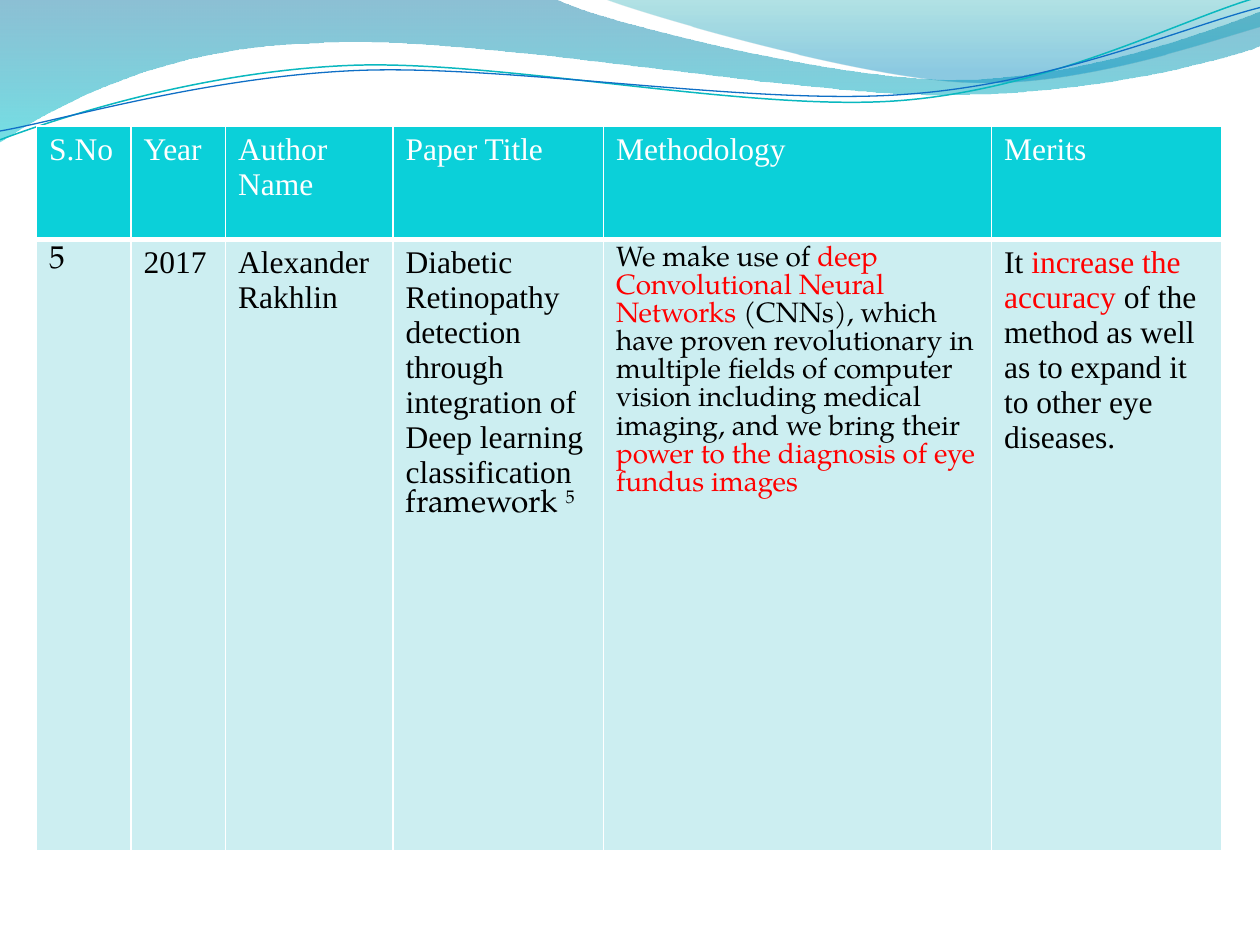
from lxml import etree
from pptx import Presentation
from pptx.dml.color import RGBColor
from pptx.oxml.ns import qn
from pptx.util import Cm, Pt

WHITE = RGBColor(0xFF, 0xFF, 0xFF)
BLACK = RGBColor(0, 0, 0)
RED = RGBColor(0xFF, 0, 0)
HEAD = RGBColor(0x0B, 0xD0, 0xD9)
BODY = RGBColor(0xCC, 0xEE, 0xF1)
NAVY = RGBColor(0x00, 0x74, 0xA1)
AQUA = RGBColor(0x00, 0xC6, 0xCF)
TEAL = RGBColor(0x00, 0xA1, 0xA9)
SKY = RGBColor(0x00, 0x8B, 0xBF)
GREEN = RGBColor(0x0A, 0xB8, 0xBF)
BLUE = RGBColor(0x0F, 0x6F, 0xC6)
TIMES, PAGELLA = "Times New Roman", "TeX Gyre Pagella"
INCH = 2.54

deck = Presentation()
deck.slide_width, deck.slide_height = Cm(10 * INCH), Cm(7.5 * INCH)
slide = deck.slides.add_slide(deck.slide_layouts[6])


def draw_wave(parts, closed):
    """Draw an outline in inches; a part is a point (2) or a Bezier curve (6)."""
    dots = [(Cm(part[i] * INCH), Cm(part[i + 1] * INCH))
            for part in parts for i in range(0, len(part), 2)]
    pen = slide.shapes.build_freeform(*dots[0], scale=1.0)
    pen.add_line_segments(dots[1:], close=closed)
    wave = pen.convert_to_shape()
    wave.shadow.inherit = False
    # Join the three points of each curve into one Bezier segment
    steps = iter(list(wave._element.spPr.iter(qn("a:lnTo"))))
    for part in parts[1:]:
        first = next(steps)
        if len(part) == 6:
            first.tag = qn("a:cubicBezTo")
            for _ in range(2):
                step = next(steps)
                first.append(step[0])
                step.getparent().remove(step)
    return wave


# Gradient waves: outline, then colour, position and opacity of each stop
bands = [
    ([(0, 0), (4.4, -0.01), (4.76, 0.17, 6.64, 0.63, 7.58, 0.63),
      (8.53, 0.63, 9.58, 0.26, 10, 0.09), (10.01, 0.36),
      (9.83, 0.44, 8.7, 0.76, 7.46, 0.75), (6.22, 0.75, 3.82, 0.28, 2.57, 0.34),
      (1.29, 0.36, 0.46, 0.83, -0.01, 1.13), (0, 0)],
     [(NAVY, 0, 45), (AQUA, 1, 55)]),
    ([(4.79, -0.01), (5.09, 0.11, 6.82, 0.62, 7.69, 0.65),
      (8.56, 0.69, 9.61, 0.32, 10, 0.21), (10, 0), (4.79, -0.01)],
     [(TEAL, 0, 30), (SKY, 0.8, 45)]),
]
for parts, stops in bands:
    wave = draw_wave(parts, True)
    wave.line.fill.background()
    wave.fill.gradient()
    wave.fill.gradient_angle = 270
    for stop, (color, place, _) in zip(wave.fill.gradient_stops, stops):
        stop.color.rgb = color
        stop.position = place
    tints = wave._element.spPr.iter(qn("a:srgbClr"))
    for tint, (_, _, alpha) in zip(tints, stops):
        etree.SubElement(tint, qn("a:alpha"), val=str(alpha * 1000))

# Thin wave lines
lines = [
    ([(0, 1.11), (0.48, 0.93, 1.58, 0.57, 2.77, 0.52),
      (3.95, 0.47, 5.93, 0.89, 7.13, 0.8), (8.33, 0.71, 9.38, 0.15, 9.98, -0.02)],
     GREEN, 0.85),
    ([(0, 1.04), (0.47, 0.96, 1.64, 0.61, 2.83, 0.56),
      (4.03, 0.51, 5.97, 0.84, 7.17, 0.75), (8.36, 0.67, 9.41, 0.21, 10, 0.06)],
     BLUE, 0.75),
]
for parts, color, width in lines:
    wave = draw_wave(parts, False)
    wave.fill.background()
    wave.line.color.rgb = color
    wave.line.width = Pt(width)

# Text formats
formats = {
    "head": {"name": TIMES, "size": Pt(18), "color": WHITE},
    "text": {"name": TIMES, "size": Pt(18), "color": BLACK},
    "mark": {"name": TIMES, "size": Pt(18), "color": RED},
    "book": {"name": PAGELLA, "size": Pt(18), "color": BLACK},
    "note": {"name": PAGELLA, "size": Pt(18), "color": BLACK, "raised": 30000},
    "small": {"name": PAGELLA, "size": Pt(16), "color": BLACK},
    "smallmark": {"name": PAGELLA, "size": Pt(16), "color": RED},
}

# Table rows: each cell is a list of paragraphs, each a list of runs
titles = ["S.No", "Year", "Author Name", "Paper Title", "Methodology", "Merits"]
paper = [
    [[("5", "book")]],
    [[("2017", "text")]],
    [[("Alexander Rakhlin", "text")]],
    [[("Diabetic Retinopathy detection through integration of", "text")],
     [("Deep learning classification ", "text"), ("framework ", "book"), ("5", "note")]],
    [[("We make use of ", "small"),
      ("deep Convolutional Neural Networks ", "smallmark"),
      ("(CNNs), which have proven revolutionary in multiple fields of computer "
       "vision including medical imaging, and we bring their ", "small"),
      ("power to the diagnosis of eye fundus images", "smallmark")]],
    [[("It ", "text"), ("increase the accuracy ", "mark"),
      ("of the method as well as to expand it to other eye diseases.", "text")]],
]
rows = [[[[(title, "head")]] for title in titles], paper]
widths = [0.75, 0.75, 1.33, 1.67, 3.08, 1.83]
heights = [0.9, 4.85]

frame = slide.shapes.add_table(len(rows), len(widths), Cm(0.29 * INCH), Cm(INCH),
                               Cm(sum(widths) * INCH), Cm(sum(heights) * INCH))
table = frame.table
table.horz_banding = False
for column, width in zip(table.columns, widths):
    column.width = Cm(width * INCH)
for row, height in zip(table.rows, heights):
    row.height = Cm(height * INCH)

for r, row in enumerate(rows):
    for c, paras in enumerate(row):
        cell = table.cell(r, c)
        cell.fill.solid()
        cell.fill.fore_color.rgb = BODY if r else HEAD
        # White borders, thick between header and body
        edges = {"L": 1, "R": 1, "T": 3 if r else 1, "B": 1 if r else 3}
        for i, (side, width) in enumerate(edges.items()):
            edge = etree.Element(qn("a:ln" + side), w=str(Pt(width)))
            solid = etree.SubElement(edge, qn("a:solidFill"))
            etree.SubElement(solid, qn("a:srgbClr"), val=str(WHITE))
            cell._tc.get_or_add_tcPr().insert(i, edge)
        # Text
        for p, runs in enumerate(paras):
            box = cell.text_frame
            para = box.add_paragraph() if p else box.paragraphs[0]
            for text, kind in runs:
                run = para.add_run()
                run.text = text
                run.font.bold = False
                for key, value in formats[kind].items():
                    if key == "color":
                        run.font.color.rgb = value
                    elif key == "raised":
                        run._r.get_or_add_rPr().set("baseline", str(value))
                    else:
                        setattr(run.font, key, value)

deck.save("out.pptx")
